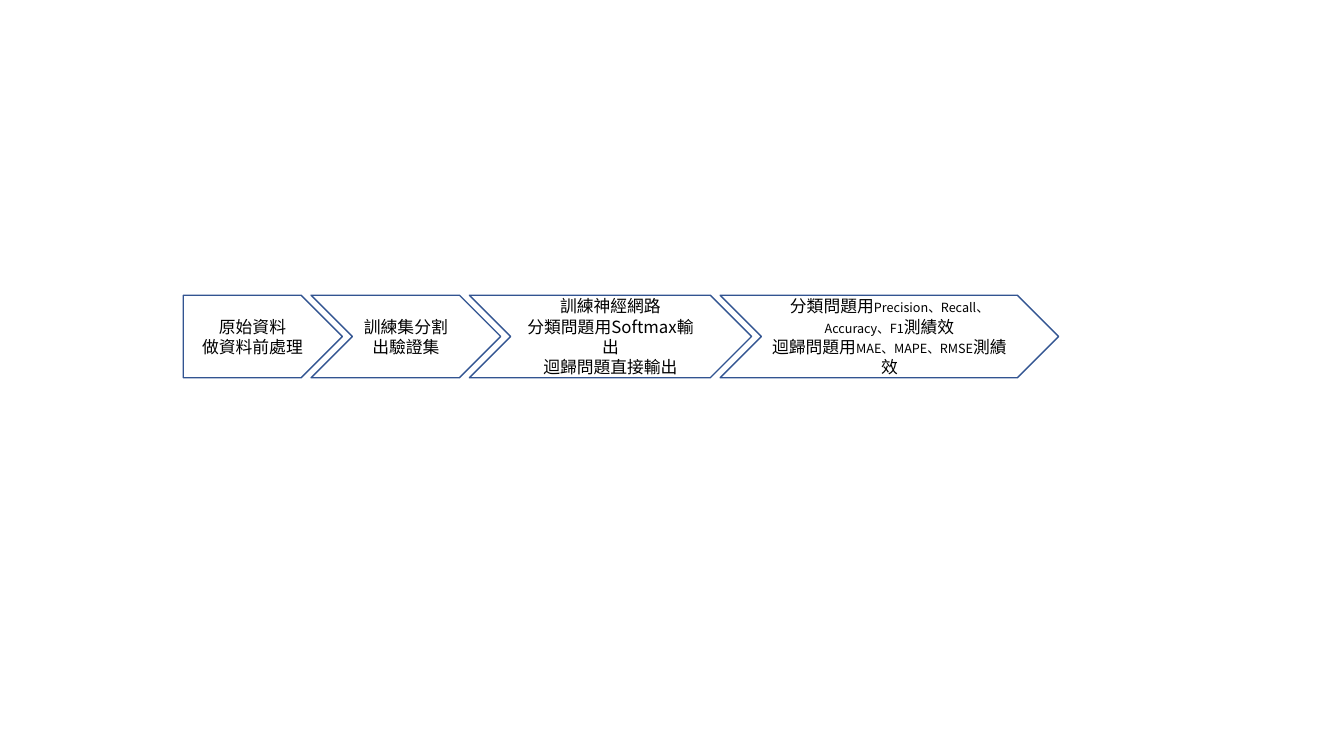
from lxml import etree
from pptx import Presentation
from pptx import util as u
from pptx.dml.color import RGBColor
from pptx.enum import shapes, text
from pptx.oxml import ns

BLUE = RGBColor(0x32, 0x54, 0x91)
BLACK = RGBColor(0, 0, 0)
FONT = "Noto Sans CJK SC"
BIG, SMALL = 12, 9

STEPS = [
    (4.01, [[("原始資料", BIG)], [("做資料前處理", BIG)]]),
    (4.78, [[("訓練集分割出驗證集", BIG)]]),
    (7.11, [[("訓練神經網路", BIG)],
            [("分類問題用Softmax輸出", BIG)],
            [("迴歸問題直接輸出", BIG)]]),
    (8.53, [[("分類問題用", BIG),
             ("Precision、Recall、Accuracy、F1", SMALL),
             ("測績效", BIG)],
            [("迴歸問題用", BIG), ("MAE、MAPE、RMSE", SMALL),
             ("測績效", BIG)]]),
]
LEFT, TOP, HEIGHT, LAP = 4.62, 7.44, 2.08, 0.79


def write(para, runs):
    para.alignment = text.PP_ALIGN.CENTER
    font = para.font
    font.name, font.size = FONT, u.Pt(BIG)
    font.color.rgb = BLACK
    base = para._p.pPr.find(ns.qn("a:defRPr"))
    etree.SubElement(base, ns.qn("a:ea"), typeface=FONT)
    for words, size in runs:
        run = para.add_run()
        run.text = words
        if size != BIG:
            run.font.size = u.Pt(size)


def add_step(group, kind, left, width, lines):
    step = group.shapes.add_shape(
        kind, u.Cm(left), u.Cm(TOP), u.Cm(width), u.Cm(HEIGHT))
    step.shadow.inherit = False
    step.fill.background()
    step.line.color.rgb = BLUE
    step.line.width = u.Pt(1)
    frame = step.text_frame
    frame.word_wrap = True
    frame.vertical_anchor = text.MSO_ANCHOR.MIDDLE
    for i, runs in enumerate(lines):
        write(frame.add_paragraph() if i else frame.paragraphs[0], runs)


def main():
    deck = Presentation()
    deck.slide_width, deck.slide_height = u.Cm(33.87), u.Cm(19.05)
    slide = deck.slides.add_slide(deck.slide_layouts[6])
    flow = slide.shapes.add_group_shape()
    left = LEFT
    kind = shapes.MSO_SHAPE.PENTAGON
    for width, lines in STEPS:
        add_step(flow, kind, left, width, lines)
        left += width - LAP
        kind = shapes.MSO_SHAPE.CHEVRON
    deck.save("out.pptx")


if __name__ == "__main__":
    main()
